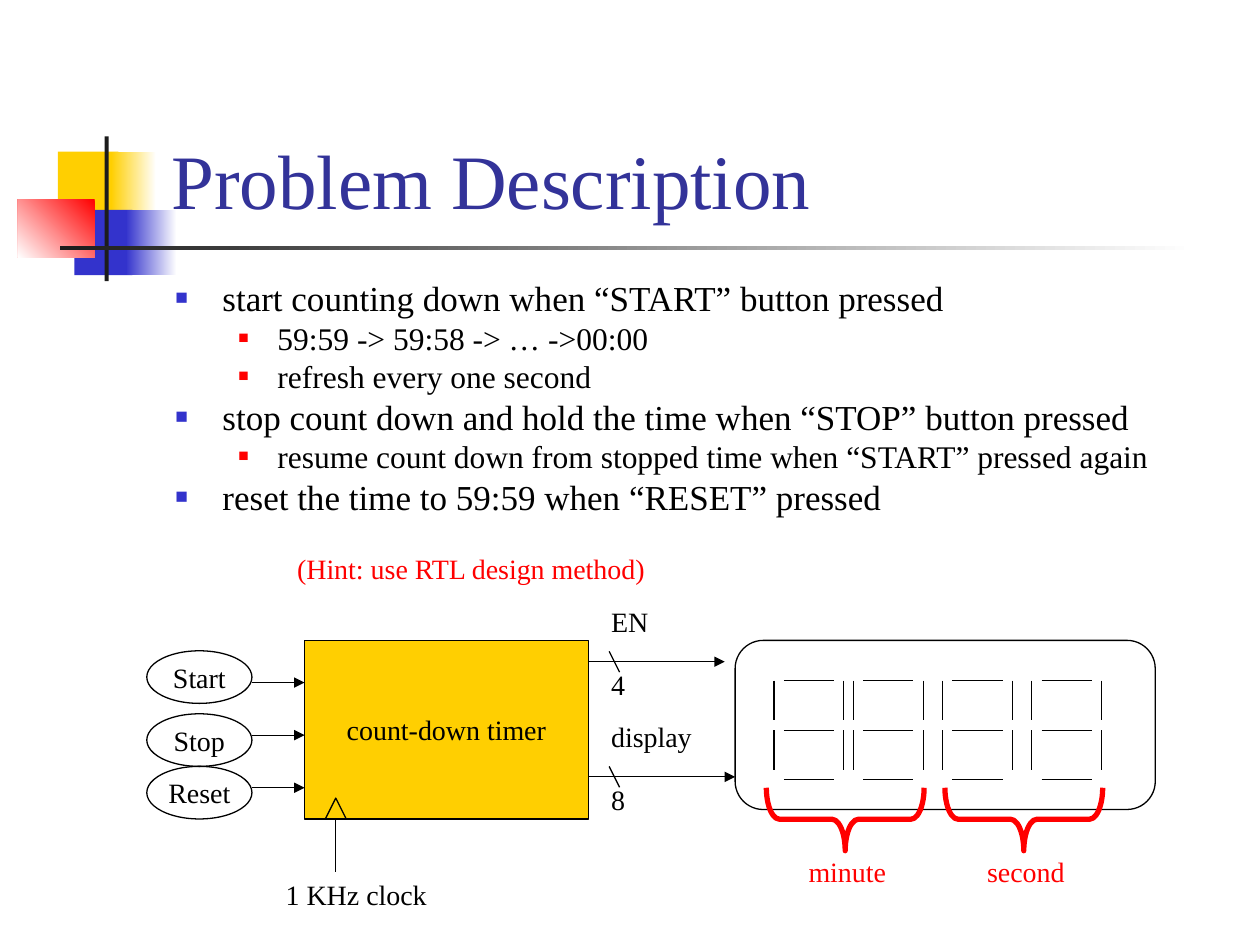
from lxml.etree import SubElement
from pptx import Presentation
from pptx.dml.color import RGBColor
from pptx.enum.shapes import MSO_CONNECTOR, MSO_SHAPE
from pptx.enum.text import MSO_ANCHOR, MSO_AUTO_SIZE, PP_ALIGN
from pptx.oxml.ns import qn
from pptx.util import Cm, Pt

FONT = "Times New Roman"
BLACK = RGBColor(0x00, 0x00, 0x00)
WHITE = RGBColor(0xFF, 0xFF, 0xFF)
RED = RGBColor(0xFF, 0x00, 0x00)
YELLOW = RGBColor(0xFF, 0xCF, 0x01)
BLUE = RGBColor(0x33, 0x33, 0xCC)
NAVY = RGBColor(0x33, 0x33, 0x99)
CHARCOAL = RGBColor(0x1C, 0x1C, 0x1C)

BULLETS = [
    (0, "start counting down when “START” button pressed"),
    (1, "59:59 -> 59:58 -> … ->00:00"),
    (1, "refresh every one second"),
    (0, "stop count down and hold the time when “STOP” button pressed"),
    (1, "resume count down from stopped time when “START” pressed again"),
    (0, "reset the time to 59:59 when “RESET” pressed"),
]
# level: text size, space before, left margin, hanging indent, bullet colour, bullet size
LEVELS = {
    0: (Pt(20), Pt(5), Cm(0.95), Cm(0.95), BLUE, 60000),
    1: (Pt(18), Pt(4.5), Cm(2.06), Cm(0.79), RED, 55000),
}


def style_font(paragraph, size, color=BLACK):
    paragraph.font.name = FONT
    paragraph.font.size = size
    paragraph.font.color.rgb = color


def add_outline(shapes, kind, left, top, width, height, color=BLACK, weight=0.75):
    shape = shapes.add_shape(kind, Cm(left), Cm(top), Cm(width), Cm(height))
    shape.shadow.inherit = False
    shape.fill.background()
    shape.line.color.rgb = color
    shape.line.width = Pt(weight)
    return shape


def add_block(shapes, left, top, width, height, color, fade=None):
    """Borderless rectangle; fade is (end colour, gradient angle)."""
    block = add_outline(shapes, MSO_SHAPE.RECTANGLE, left, top, width, height)
    block.line.fill.background()
    if fade is None:
        block.fill.solid()
        block.fill.fore_color.rgb = color
    else:
        end_color, angle = fade
        block.fill.gradient()
        block.fill.gradient_angle = angle
        for stop, stop_color in zip(block.fill.gradient_stops, (color, end_color)):
            stop.color.rgb = stop_color


def add_line(shapes, x1, y1, x2, y2, arrow=False):
    line = shapes.add_connector(MSO_CONNECTOR.STRAIGHT, Cm(x1), Cm(y1), Cm(x2), Cm(y2))
    line.line.color.rgb = BLACK
    line.line.width = Pt(0.75)
    if arrow:
        SubElement(line.line._get_or_add_ln(), qn("a:tailEnd"), type="triangle")
    SubElement(line._element.spPr, qn("a:effectLst"))


def add_label(shapes, left, top, width, text, color=BLACK):
    frame = shapes.add_textbox(Cm(left), Cm(top), Cm(width), Cm(0.94)).text_frame
    frame.word_wrap = False
    frame.auto_size = MSO_AUTO_SIZE.SHAPE_TO_FIT_TEXT
    frame.text = text
    style_font(frame.paragraphs[0], Pt(16), color)


def write_centred(shape, text):
    frame = shape.text_frame
    frame.word_wrap = False
    frame.vertical_anchor = MSO_ANCHOR.MIDDLE
    frame.text = text
    frame.paragraphs[0].alignment = PP_ALIGN.CENTER
    style_font(frame.paragraphs[0], Pt(16))


def place(shape, left, top, width, height):
    shape.left, shape.top, shape.width, shape.height = map(Cm, (left, top, width, height))


def draw_ornament(shapes, left, top):
    add_block(shapes, left + 0.81, top + 0.31, 1.22, 1.32, YELLOW)
    add_block(shapes, left + 1.88, top + 0.31, 0.91, 1.32, WHITE, (YELLOW, 180))
    add_block(shapes, left + 1.14, top + 1.48, 1.17, 1.32, BLUE)
    add_block(shapes, left + 2.18, top + 1.48, 1.02, 1.32, WHITE, (BLUE, 180))
    add_block(shapes, left, top + 1.27, 1.55, 1.17, RED, (WHITE, 225))
    add_block(shapes, left + 1.75, top, 0.08, 2.92, CHARCOAL)
    add_block(shapes, left + 0.86, top + 2.2, 22.86, 0.1, WHITE, (CHARCOAL, 180))


def fill_title(title, left, top, width, height):
    place(title, left, top, width, height)
    frame = title.text_frame
    frame.auto_size = MSO_AUTO_SIZE.NONE
    frame.vertical_anchor = MSO_ANCHOR.BOTTOM
    frame.text = "Problem Description"
    frame.paragraphs[0].alignment = PP_ALIGN.LEFT
    style_font(frame.paragraphs[0], Pt(44), NAVY)


def fill_bullets(body, left, top, width, height):
    place(body, left, top, width, height)
    frame = body.text_frame
    frame.auto_size = MSO_AUTO_SIZE.NONE
    for index, (level, text) in enumerate(BULLETS):
        size, space, margin, hanging, color, bullet_size = LEVELS[level]
        paragraph = frame.add_paragraph() if index else frame.paragraphs[0]
        paragraph.text = text
        paragraph.level = level
        paragraph.line_spacing = 0.8
        paragraph.space_before = space if index else Pt(0)
        properties = paragraph._p.get_or_add_pPr()
        properties.set("marL", str(margin))
        properties.set("indent", str(-hanging))
        bullet_color = SubElement(properties, qn("a:buClr"))
        SubElement(bullet_color, qn("a:srgbClr"), val=str(color))
        SubElement(properties, qn("a:buSzPct"), val=str(bullet_size))
        SubElement(properties, qn("a:buChar"), char="■")
        style_font(paragraph, size)


def draw_buttons(shapes, left, top):
    width, height = 2.12, 1.06
    for index, (text, offset) in enumerate((("Start", 0), ("Stop", 1.27), ("Reset", 2.33))):
        button = add_outline(shapes, MSO_SHAPE.OVAL, left, top + offset, width, height)
        write_centred(button, text)
        y = top + 0.64 + index * height
        add_line(shapes, left + width, y, left + width + 1.06, y, arrow=True)


def draw_timer(shapes, left, top, width, height):
    timer = add_outline(shapes, MSO_SHAPE.RECTANGLE, left, top, width, height)
    timer.fill.solid()
    timer.fill.fore_color.rgb = YELLOW
    write_centred(timer, "count-down timer")
    bottom = top + height
    add_outline(shapes, MSO_SHAPE.ISOSCELES_TRIANGLE, left + 0.42, bottom - 0.42, 0.42, 0.42)
    add_line(shapes, left + 0.63, bottom, left + 0.63, bottom + 1.06)
    add_label(shapes, left - 0.63, bottom + 1.06, 3.45, "1 KHz clock")


def draw_bus(shapes, left, y, length, name, name_width, bits):
    add_line(shapes, left, y, left + length, y, arrow=True)
    add_line(shapes, left + 0.42, y - 0.21, left + 0.63, y + 0.21)
    add_label(shapes, left + 0.21, y, 0.9, bits)
    add_label(shapes, left + 0.21, y - 1.27, name_width, name)


def draw_digit(shapes, left, top):
    """Seven-segment digit."""
    for row in range(3):
        add_line(shapes, left + 0.2, top + row, left + 1.21, top + row)
    for x in (left, left + 1.41):
        for y in (top, top + 1):
            add_line(shapes, x, y, x, y + 0.8)


def draw_display(shapes, left, top, width, height):
    for offset in (0.78, 2.38, 4.18, 5.98):
        draw_digit(shapes, left + offset, top + 0.81)
    add_outline(shapes, MSO_SHAPE.ROUNDED_RECTANGLE, left, top, width, height)
    span, depth = 3.18, 1.27
    for offset, text in ((0.63, "minute"), (4.23, "second")):
        middle_x, middle_y = left + offset + span / 2, top + 2.97 + depth / 2
        brace = add_outline(shapes, MSO_SHAPE.LEFT_BRACE, middle_x - depth / 2,
                            middle_y - span / 2, depth, span, RED, 3)
        brace.adjustments[0] = 0.21
        brace.rotation = 270
        add_label(shapes, left + offset + 0.6, top + 4.19, 2.25, text, RED)


def main():
    presentation = Presentation()
    presentation.slide_width, presentation.slide_height = Cm(25.4), Cm(19.05)
    slide = presentation.slides.add_slide(presentation.slide_layouts[1])
    shapes = slide.shapes
    draw_ornament(shapes, 0.36, 2.75)
    fill_title(shapes.title, 3.2, 0.6, 21.64, 4.06)
    fill_bullets(slide.placeholders[1], 3.28, 5.61, 21.59, 5.61)
    draw_timer(shapes, 6.14, 12.91, 5.72, 3.6)
    draw_bus(shapes, 11.86, 13.34, 2.75, "EN", 1.4, "4")
    draw_bus(shapes, 11.86, 15.66, 2.96, "display", 2.25, "8")
    draw_display(shapes, 14.82, 12.91, 8.47, 3.41)
    draw_buttons(shapes, 2.96, 13.12)
    add_label(shapes, 5.74, 11, 7.7, "(Hint: use RTL design method)", RED)
    presentation.save("out.pptx")


if __name__ == "__main__":
    main()
